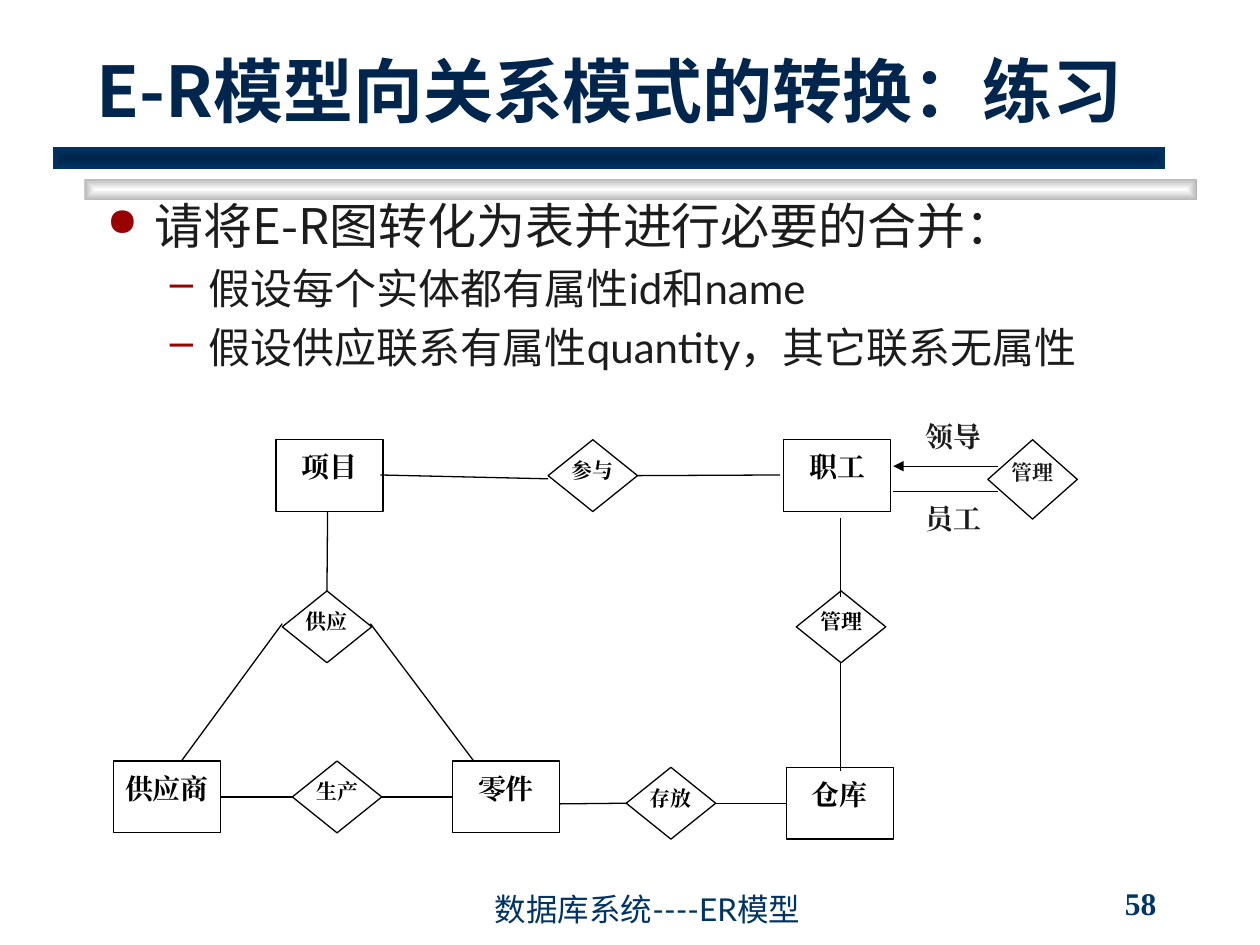
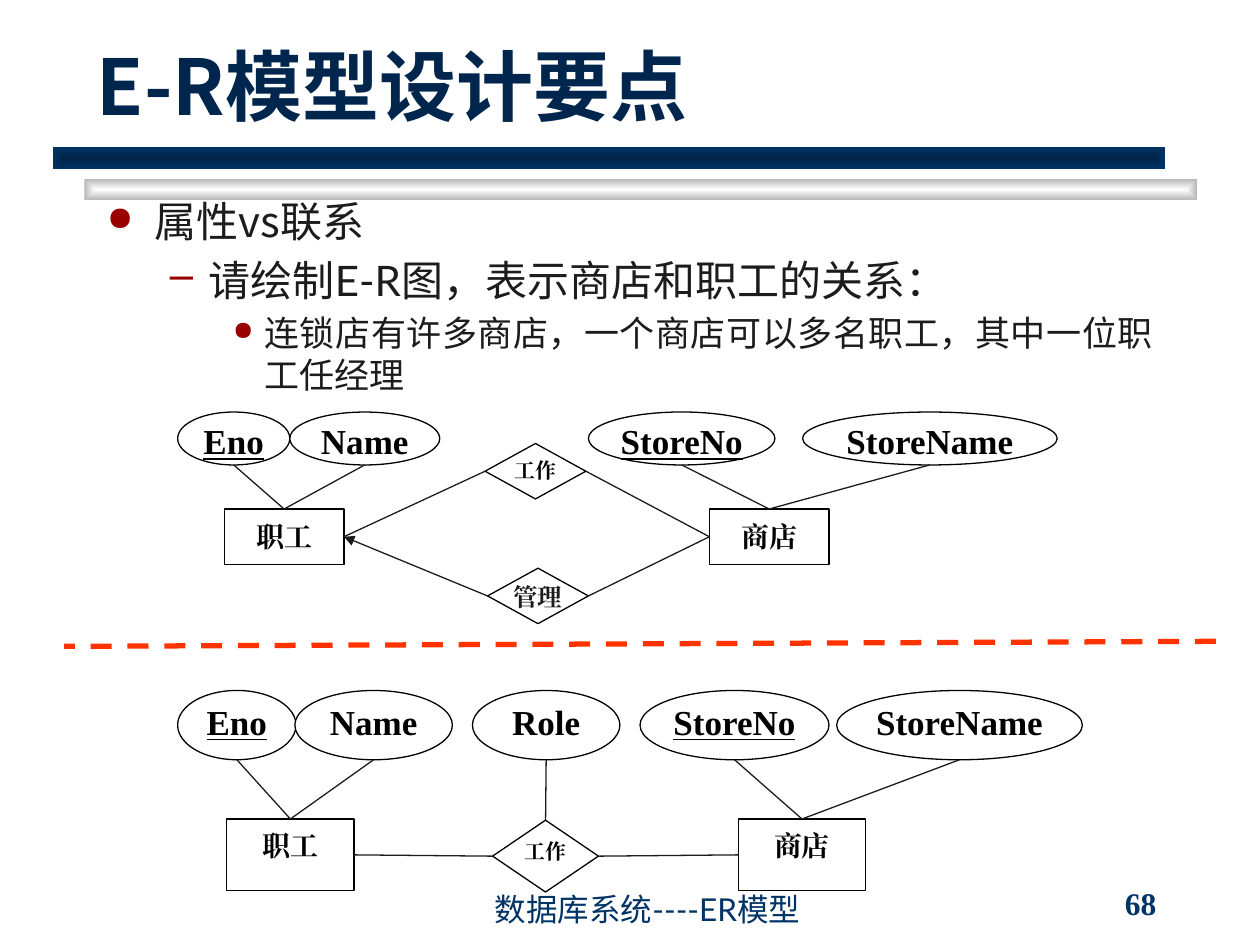
"""Builds two slides on E-R models: a conversion exercise and a design point."""
from lxml.etree import SubElement
from pptx import Presentation
from pptx.dml.color import RGBColor
from pptx.enum.dml import MSO_LINE
from pptx.enum.shapes import MSO_CONNECTOR, MSO_SHAPE
from pptx.enum.text import MSO_ANCHOR, PP_ALIGN
from pptx.oxml.ns import qn
from pptx.util import Inches, Pt

COLORS = {
    "title": "00264D", "navy": "003366", "deep": "002449", "grey": "B6B6B6",
    "white": "FFFFFF", "black": "000000", "ink": "1C1C1C", "bullet": "990000",
    "divider": "FF3300",
}
SERIF, SANS = "Times New Roman", "Lato"
HEADING, LEAD = "Noto Sans CJK SC", "Noto Sans CJK JP"
TOP, LEFT, BOTTOM, RIGHT = range(4)
RECT, DIAMOND, OVAL = MSO_SHAPE.RECTANGLE, MSO_SHAPE.FLOWCHART_DECISION, MSO_SHAPE.OVAL
BANDS = [(0.67, 1.42, "white", "grey"), (0.42, 1.17, "deep", "navy")]
BULLETS = [("●", 80, 0.38, 0.38), ("–", 100, 0.81, 0.31), ("●", 75, 1.25, 0.25)]
INSETS = {RECT: (0.08, 0.05), DIAMOND: (0, 0), OVAL: (0, 0)}


def write(paragraph, text, size, font, color, bold=False, align=PP_ALIGN.LEFT):
    paragraph.text = text
    paragraph.alignment = align
    paragraph.font.size = Pt(size)
    paragraph.font.bold = bold
    paragraph.font.name = font
    paragraph.font.color.rgb = RGBColor.from_string(COLORS[color])
    SubElement(paragraph.font._element, qn("a:ea"), typeface=font)


def link(slide, nodes, start, end, color, width=0.75, arrow=False):
    line = slide.shapes.add_connector(MSO_CONNECTOR.STRAIGHT, 0, 0, 0, 0)
    if isinstance(start[0], str):
        line.begin_connect(nodes[start[0]], start[1])
    else:
        line.begin_x, line.begin_y = Inches(start[0]), Inches(start[1])
    if isinstance(end[0], str):
        line.end_connect(nodes[end[0]], end[1])
    else:
        line.end_x, line.end_y = Inches(end[0]), Inches(end[1])
    line.line.color.rgb = RGBColor.from_string(COLORS[color])
    line.line.width = Pt(width)
    if arrow:
        SubElement(line.line._get_or_add_ln(), qn("a:headEnd"), type="triangle")
    SubElement(line._element.spPr, qn("a:effectLst"))
    return line


exercise = {
    "title": ("E-R模型向关系模式的转换：练习", 40),
    "number": "58",
    "body": [
        (0, "请将E-R图转化为表并进行必要的合并：", 28),
        (1, "假设每个实体都有属性id和name", 24),
        (1, "假设供应联系有属性quantity，其它联系无属性", 24),
    ],
    "line": "black",
    "nodes": [
        ("仓库", RECT, 6.24, 6.09, 0.85, 0.57, 16, "black"),
        ("存放", DIAMOND, 4.97, 6.09, 0.71, 0.57, 12, "black"),
        ("供应商", RECT, 0.9, 6.04, 0.85, 0.57, 16, "black"),
        ("零件", RECT, 3.59, 6.04, 0.85, 0.57, 16, "black"),
        ("生产", DIAMOND, 2.32, 6.04, 0.71, 0.57, 12, "black"),
        ("项目", RECT, 2.19, 3.49, 0.85, 0.57, 16, "black"),
        ("供应", DIAMOND, 2.24, 4.69, 0.71, 0.57, 12, "black"),
        ("职工", RECT, 6.22, 3.49, 0.85, 0.57, 16, "black"),
        ("管理", DIAMOND, 6.32, 4.69, 0.71, 0.57, 12, "black"),
        ("参与", DIAMOND, 4.35, 3.49, 0.71, 0.57, 12, "black"),
        ("管理", DIAMOND, 7.84, 3.49, 0.71, 0.63, 12, "ink"),
    ],
    "links": [
        ((4.44, 6.38), ("存放", LEFT)),
        (("存放", RIGHT), ("仓库", LEFT)),
        (("供应商", RIGHT), ("生产", LEFT)),
        (("生产", RIGHT), ("零件", LEFT)),
        ((2.6, 4.06), ("供应", TOP)),
        ((3.76, 6.04), (2.94, 4.95)),
        ((2.24, 4.95), (1.44, 6.04)),
        ((6.67, 5.26), (6.67, 6.12)),
        ((6.67, 4.11), (6.67, 4.74)),
        ((3.02, 3.77), (4.35, 3.8)),
        (("参与", RIGHT), (6.19, 3.77)),
        ((7.09, 3.9), (7.92, 3.9)),
    ],
    "arrows": [((7.09, 3.7), (7.92, 3.7))],
    "attributes": [],
    "roles": [("领导", 3.28), ("员工", 3.93)],
}

design = {
    "title": ("E-R模型设计要点", 44),
    "number": "68",
    "body": [
        (0, "属性vs联系", 24),
        (1, "请绘制E-R图，表示商店和职工的关系：", 24),
        (2, "连锁店有许多商店，一个商店可以多名职工，其中一位职工任经理", 20),
    ],
    "line": "ink",
    "nodes": [
        ("职工", RECT, 1.78, 4.04, 0.95, 0.44, 16, "black"),
        ("工作", DIAMOND, 3.85, 3.52, 0.8, 0.44, 12, "black"),
        ("商店", RECT, 5.63, 4.04, 0.95, 0.44, 16, "black"),
        ("管理", DIAMOND, 3.87, 4.51, 0.8, 0.44, 14, "ink"),
        ("职工", RECT, 1.8, 6.5, 1.01, 0.57, 16, "black"),
        ("工作", DIAMOND, 3.91, 6.51, 0.84, 0.57, 12, "black"),
        ("商店", RECT, 5.86, 6.5, 1.01, 0.57, 16, "black"),
    ],
    "links": [
        (("商店", LEFT), ("工作", RIGHT)),
        (("职工", RIGHT), ("工作", LEFT)),
        (("商店", LEFT), ("管理", RIGHT)),
        (("商店2", LEFT), ("工作2", RIGHT)),
        (("职工2", RIGHT), ("工作2", LEFT)),
    ],
    "arrows": [(("职工", RIGHT), ("管理", LEFT))],
    "attributes": [
        ("Eno", 1.41, 3.27, 0.89, 0.42, "职工"),
        ("Name", 2.3, 3.27, 1.19, 0.42, "职工"),
        ("StoreNo", 4.67, 3.27, 1.48, 0.42, "商店"),
        ("StoreName", 6.37, 3.27, 2.02, 0.42, "商店"),
        ("Eno", 1.41, 5.48, 0.94, 0.55, "职工2"),
        ("Name", 2.34, 5.48, 1.25, 0.55, "职工2"),
        ("StoreNo", 5.08, 5.48, 1.5, 0.55, "商店2"),
        ("StoreName", 6.64, 5.48, 1.95, 0.55, "商店2"),
        ("Role", 3.75, 5.48, 1.17, 0.55, "工作2"),
    ],
    "roles": [],
}

deck = Presentation()
deck.slide_width, deck.slide_height = Inches(10), Inches(7.5)

for content in (exercise, design):
    slide = deck.slides.add_slide(deck.slide_layouts[6])
    shapes = slide.shapes

    for x, y, core, edge in BANDS:
        band = shapes.add_shape(RECT, Inches(x), Inches(y), Inches(8.83), Inches(0.17))
        band.shadow.inherit = False
        band.line.fill.background()
        band.fill.gradient()
        for stop, color in zip(band.fill.gradient_stops, (core, edge)):
            stop.color.rgb = RGBColor.from_string(COLORS[color])
        gradient = band._element.spPr.find(qn("a:gradFill"))
        gradient.remove(gradient.find(qn("a:lin")))
        focus = SubElement(gradient, qn("a:path"), path="shape")
        SubElement(focus, qn("a:fillToRect"), l="50000", t="50000", r="50000", b="50000")

    title, title_size = content["title"]
    for text, box, anchor, size, font, color, bold in [
        (title, (0.67, 0.42, 8.5, 0.67), MSO_ANCHOR.BOTTOM, title_size, HEADING, "title", True),
        (content["number"], (8.83, 7, 1.08, 0.33), MSO_ANCHOR.MIDDLE, 18, SERIF, "navy", True),
        ("数据库系统----ER模型", (3.83, 7.08, 4.08, 0.33), MSO_ANCHOR.BOTTOM, 18, SANS, "navy", False),
    ]:
        frame = shapes.add_textbox(*map(Inches, box)).text_frame
        frame.word_wrap = True
        frame.vertical_anchor = anchor
        write(frame.paragraphs[0], text, size, font, color, bold)

    body = shapes.add_textbox(Inches(0.75), Inches(1.5), Inches(8.5), Inches(1.65)).text_frame
    body.word_wrap = True
    for i, (level, text, size) in enumerate(content["body"]):
        point = body.add_paragraph() if i else body.paragraphs[0]
        point.level = level
        mark, percent, margin, hang = BULLETS[level]
        props = point._p.get_or_add_pPr()
        props.set("marL", str(Inches(margin)))
        props.set("indent", str(-Inches(hang)))
        SubElement(SubElement(props, qn("a:buClr")), qn("a:srgbClr"), val=COLORS["bullet"])
        SubElement(props, qn("a:buSzPct"), val=str(percent * 1000))
        SubElement(props, qn("a:buChar"), char=mark)
        if i:
            point.space_before = Pt(size * 0.2)
        write(point, text, size, SANS if level else LEAD, "ink", align=PP_ALIGN.JUSTIFY)

    nodes = {}
    ovals = [(name, OVAL, *box, 20, "black") for name, *box, owner in content["attributes"]]
    for text, kind, x, y, w, h, size, color in content["nodes"] + ovals:
        node = shapes.add_shape(kind, Inches(x), Inches(y), Inches(w), Inches(h))
        node.shadow.inherit = False
        node.fill.solid()
        node.fill.fore_color.rgb = RGBColor.from_string(COLORS["white"])
        node.line.color.rgb = RGBColor.from_string(COLORS["black"])
        node.line.width = Pt(0.75)
        frame = node.text_frame
        frame.word_wrap = True
        frame.vertical_anchor = MSO_ANCHOR.TOP
        frame.margin_left = frame.margin_right = 0
        frame.margin_top, frame.margin_bottom = map(Inches, INSETS[kind])
        write(frame.paragraphs[0], text, size, SERIF, color, True, PP_ALIGN.CENTER)
        frame.paragraphs[0].font.underline = text in ("Eno", "StoreNo")
        nodes[text + "2" if text in nodes else text] = node

    for start, end in content["links"]:
        link(slide, nodes, start, end, content["line"])
    for start, end in content["arrows"]:
        link(slide, nodes, start, end, content["line"], arrow=True)
    for name, x, y, w, h, owner in content["attributes"]:
        link(slide, nodes, (x + w / 2, y + h), (owner, TOP), content["line"])

    for role, y in content["roles"]:
        frame = shapes.add_textbox(Inches(7.12), Inches(y), Inches(0.89), Inches(0.37)).text_frame
        frame.word_wrap = True
        write(frame.paragraphs[0], role, 16, SERIF, "ink", True, PP_ALIGN.CENTER)

divider = link(slide, nodes, (9.65, 5.09), (0.51, 5.13), "divider", 3)
divider.line.dash_style = MSO_LINE.DASH

deck.save("out.pptx")
